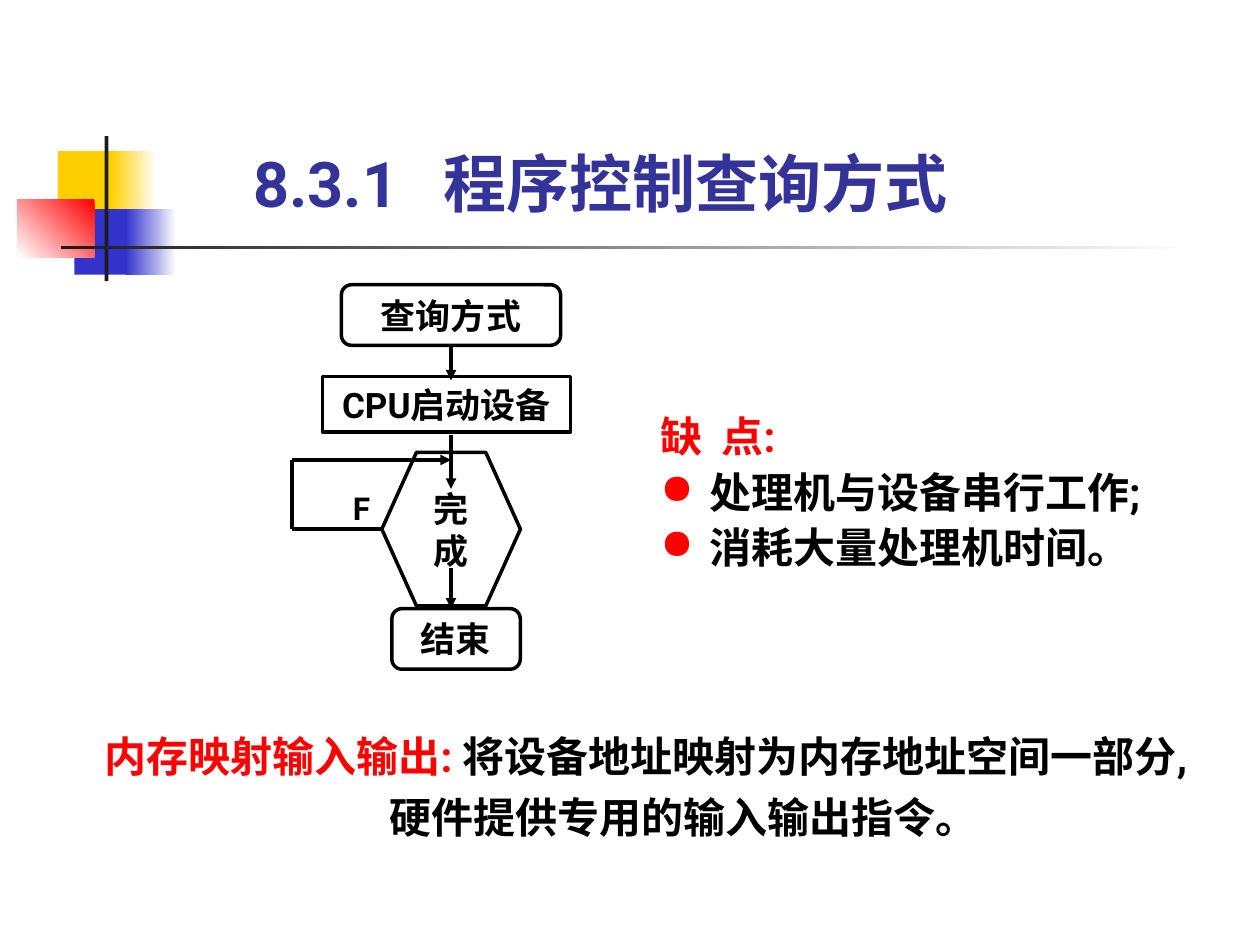
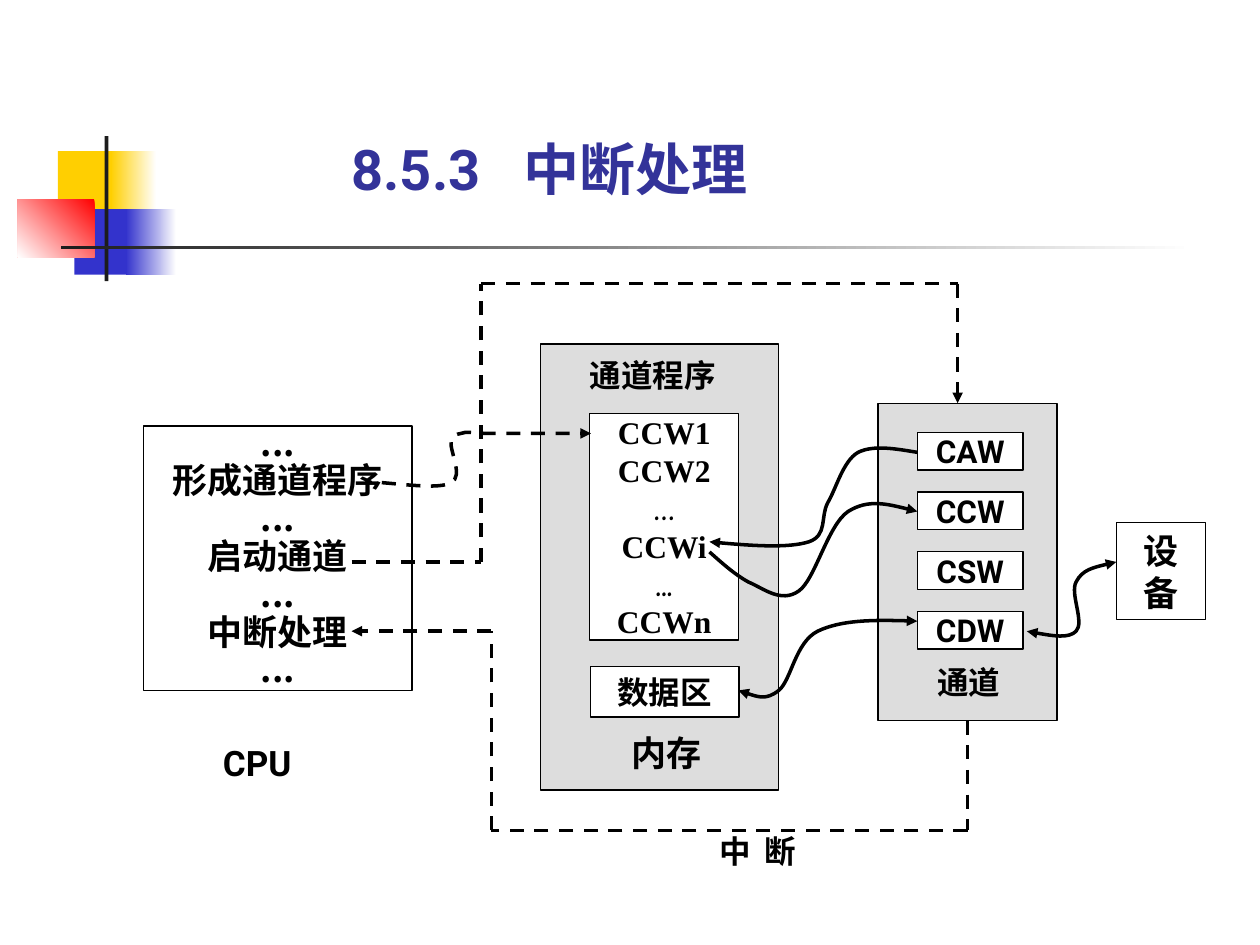
from dataclasses import dataclass, replace
from typing import Optional

import lxml.etree
import pptx
import pptx.dml.color
import pptx.enum.dml
import pptx.enum.shapes
import pptx.enum.text
import pptx.oxml.ns
import pptx.util

Pt = pptx.util.Pt
qn = pptx.oxml.ns.qn
SHAPES = pptx.enum.shapes.MSO_SHAPE
ALIGN = pptx.enum.text.PP_ALIGN
ANCHOR = pptx.enum.text.MSO_ANCHOR

COLORS = {
    "ink": "000000",
    "paper": "FFFFFF",
    "panel": "DDDDDD",
    "title": "333399",
    "red": "FF0000",
    "yellow": "FFCF01",
    "blue": "3333CC",
    "rule": "1C1C1C",
}

Point = tuple[float, float]
Area = tuple[float, float, float, float]  # left, top, width, height


@dataclass(frozen=True)
class Style:
    size: float
    font: str = "Roboto"
    color: str = "ink"
    spacing: Optional[float] = None
    centered: bool = False
    tab: float = 0
    indent: float = 0
    bullet: str = ""


@dataclass(frozen=True)
class Line:
    """One paragraph; lead is an opening span in red."""
    text: str
    style: Style
    lead: str = ""


@dataclass(frozen=True)
class Box:
    area: Area
    lines: tuple[Line, ...] = ()
    kind: int = SHAPES.RECTANGLE
    fill: str = "paper"
    weight: float = 0.75
    inset: bool = False
    anchor: int = ANCHOR.MIDDLE


@dataclass(frozen=True)
class Block:
    """A plain rectangle; a second colour makes it a gradient."""
    area: Area
    color: str
    fade_to: str = ""
    angle: float = 180


@dataclass(frozen=True)
class Curve:
    points: tuple[Point, ...]
    both_ends: bool = False
    dashed: bool = False


DECORATION = (
    Block((33.1, 86.4, 34.6, 37.4), "yellow"),
    Block((63.4, 86.4, 25.9, 37.4), "paper", "yellow"),
    Block((42.5, 119.5, 33.1, 37.4), "blue"),
    Block((72, 119.5, 28.8, 37.4), "paper", "blue"),
    Block((10.1, 113.8, 43.9, 33.1), "red", "paper", 225),
    Block((59.8, 77.8, 2.2, 82.8), "rule"),
    Block((34.6, 140.4, 648, 2.2), "paper", "rule"),
)


def rgb(name: str) -> pptx.dml.color.RGBColor:
    return pptx.dml.color.RGBColor.from_string(COLORS[name])


def lengths(values):
    return [Pt(value) for value in values]


def format_paragraph(para, style: Style) -> None:
    """Apply spacing, indents, bullet and tab stop, and then the font."""
    props = para._p.get_or_add_pPr()
    if style.indent:
        props.set("marL", str(Pt(style.indent)))
        props.set("indent", str(-Pt(style.indent) if style.bullet else 0))
    if style.bullet:
        color = lxml.etree.SubElement(props, qn("a:buClr"))
        lxml.etree.SubElement(color, qn("a:srgbClr"), val=COLORS["red"])
        lxml.etree.SubElement(props, qn("a:buChar"), char=style.bullet)
    if style.tab:
        stops = lxml.etree.SubElement(props, qn("a:tabLst"))
        lxml.etree.SubElement(stops, qn("a:tab"), pos=str(Pt(style.tab)), algn="l")
    para.alignment = ALIGN.CENTER if style.centered else ALIGN.LEFT
    if style.spacing:
        para.line_spacing = style.spacing
    para.font.size = Pt(style.size)
    para.font.name = style.font
    para.font.bold = True
    para.font.color.rgb = rgb(style.color)


def write_text(shape, lines, anchor=ANCHOR.TOP, inset: bool = False) -> None:
    frame = shape.text_frame
    frame.word_wrap = True
    frame.auto_size = pptx.enum.text.MSO_AUTO_SIZE.SHAPE_TO_FIT_TEXT
    frame.vertical_anchor = anchor
    frame.margin_left = frame.margin_right = Pt(7.2 if inset else 0)
    frame.margin_top = frame.margin_bottom = Pt(3.6 if inset else 0)
    for index, line in enumerate(lines):
        para = frame.add_paragraph() if index else frame.paragraphs[0]
        format_paragraph(para, line.style)
        if line.lead:
            span = para.add_run()
            span.text = line.lead
            span.font.color.rgb = rgb("red")
        para.add_run().text = line.text


def add_text(page, area: Area, *lines: Line, anchor=ANCHOR.TOP) -> None:
    write_text(page.shapes.add_textbox(*lengths(area)), lines, anchor)


def add_box(page, box: Box):
    shape = page.shapes.add_shape(box.kind, *lengths(box.area))
    shape.shadow.inherit = False
    if box.fill:
        shape.fill.solid()
        shape.fill.fore_color.rgb = rgb(box.fill)
    else:
        shape.fill.background()
    shape.line.color.rgb = rgb("ink")
    shape.line.width = Pt(box.weight)
    if box.lines:
        write_text(shape, box.lines, box.anchor, box.inset)
    return shape


def add_block(page, block: Block) -> None:
    shape = page.shapes.add_shape(SHAPES.RECTANGLE, *lengths(block.area))
    shape.shadow.inherit = False
    shape.line.fill.background()
    if not block.fade_to:
        shape.fill.solid()
        shape.fill.fore_color.rgb = rgb(block.color)
        return
    shape.fill.gradient()
    shape.fill.gradient_angle = block.angle
    for stop, position, color in zip(
        shape.fill.gradient_stops, (0, 1), (block.color, block.fade_to)
    ):
        stop.position = position
        stop.color.rgb = rgb(color)


def style_stroke(line, dashed: bool, head: bool = False, tail: bool = False) -> None:
    line.color.rgb = rgb("ink")
    line.width = Pt(2)
    if dashed:
        line.dash_style = pptx.enum.dml.MSO_LINE.DASH
    for wanted, tag in ((head, "a:headEnd"), (tail, "a:tailEnd")):
        if wanted:
            lxml.etree.SubElement(line._get_or_add_ln(), qn(tag), type="triangle")


def add_route(page, *points: Point, dashed: bool = False, source=None) -> None:
    """Join the points with straight lines, the last with an arrowhead.

    A source shape is joined at the middle of its bottom side.
    """
    last = len(points) - 2
    for index, (start, end) in enumerate(zip(points, points[1:])):
        connector = page.shapes.add_connector(
            pptx.enum.shapes.MSO_CONNECTOR.STRAIGHT, *lengths(start + end)
        )
        if source is not None and index == 0:
            connector.begin_connect(source, 2)
        style_stroke(connector.line, dashed, tail=index == last)
        lxml.etree.SubElement(connector.element.spPr, qn("a:effectLst"))


def add_curve(page, curve: Curve) -> None:
    """Draw cubic curves: a start, then two controls and an end for each."""
    start, *rest = [tuple(lengths(point)) for point in curve.points]
    builder = page.shapes.build_freeform(*start)
    builder.add_line_segments(rest, close=False)
    shape = builder.convert_to_shape()
    outline = shape.element.xpath(".//a:path")[0]
    segments = outline.findall(qn("a:lnTo"))
    for first in range(0, len(segments), 3):
        cubic = lxml.etree.SubElement(outline, qn("a:cubicBezTo"))
        for segment in segments[first:first + 3]:
            cubic.append(segment[0])
            outline.remove(segment)
    shape.shadow.inherit = False
    shape.fill.background()
    style_stroke(shape.line, curve.dashed, head=curve.both_ends, tail=True)


def add_page(deck, title: str, area: Area, size: float, tab: float):
    page = deck.slides.add_slide(deck.slide_layouts[6])
    for block in DECORATION:
        add_block(page, block)
    style = Style(size, color="title", tab=tab)
    add_text(page, area, Line(title, style), anchor=ANCHOR.BOTTOM)
    return page


def build_polling_page(deck) -> None:
    page = add_page(deck, "8.3.1\t程序控制查询方式", (144.7, 82.8, 408.2, 43.2), 36, 109)
    heading = Style(24, color="red", spacing=1.1, tab=35)
    item = Style(24, spacing=1.1, indent=28, bullet="●")
    add_text(
        page, (377.3, 231.8, 301, 95),
        Line("缺\t点:", heading),
        Line("处理机与设备串行工作;", item),
        Line("消耗大量处理机时间。", item),
    )
    body = Style(24, spacing=1.2)
    add_text(
        page, (59.8, 411.8, 629.3, 103.7),
        Line("将设备地址映射为内存地址空间一部分,", body, lead="内存映射输入输出: "),
        Line("硬件提供专用的输入输出指令。", replace(body, indent=163)),
    )
    add_text(page, (201.6, 279.4, 11.5, 21.6), Line("F", Style(18)))

    step = Style(20, centered=True)
    start, *_ = [
        add_box(page, Box(area, (Line(text, step),), kind, "", 2, True))
        for text, kind, area in (
            ("查询方式", SHAPES.ROUNDED_RECTANGLE, (195.1, 162.7, 125.3, 34.6)),
            ("CPU启动设备", SHAPES.RECTANGLE, (184.3, 215.3, 141.8, 31.7)),
            ("完成", SHAPES.HEXAGON, (218.2, 258.5, 79.2, 87.8)),
            ("结束", SHAPES.ROUNDED_RECTANGLE, (223.9, 347.8, 73.4, 34.6)),
        )
    ]
    axis = 257.75
    add_route(page, (axis, 197.3), (axis, 217.4), source=start)
    add_route(page, (axis, 248.4), (axis, 279.4))
    add_route(page, (axis, 324.7), (axis, 347.8))
    add_route(page, (218.2, 302.4), (167, 302.4), (167, 262.8), (axis, 262.8))


CURVES = (
    Curve(((524.2, 258.5), (511.2, 256.3), (499, 254.2), (490.3, 258.5),
           (481.7, 263.5), (478.1, 278.6), (473, 287.3),
           (468.7, 295.2), (473, 306), (462.2, 309.6),
           (450.7, 313.2), (427.7, 311.8), (405.4, 309.6))),
    Curve(((405.4, 315.4), (412.6, 321.8), (419.8, 328.3), (427.7, 332.6),
           (436.3, 336.2), (446.4, 344.9), (456.5, 337.7),
           (465.8, 331.2), (473, 300.2), (484.6, 292.3),
           (496.1, 285.1), (510.5, 288.7), (524.2, 292.3))),
    Curve(((421.9, 394.6), (429.8, 397.4), (437.8, 400.3), (445, 394.6),
           (452.2, 388.8), (454.3, 367.2), (467.3, 360.7),
           (481, 354.2), (502.6, 354.2), (524.2, 355)), both_ends=True),
    Curve(((586.8, 360.7), (598.3, 362.9), (610.6, 365), (614.9, 360.7),
           (619.9, 355.7), (611.3, 339.1), (614.9, 332.6),
           (618.5, 325.4), (628.6, 323.3), (637.9, 321.1)), both_ends=True),
    Curve(((218.2, 275.8), (234.7, 277.2), (251.3, 279.4), (257.8, 275.8),
           (265, 272.2), (257, 257.8), (257.8, 252.7),
           (259.2, 248.4), (259.9, 248.4), (263.5, 247.7),
           (267.1, 246.2), (268.6, 247.7), (280.8, 247.7),
           (293, 247.7), (315.4, 247.7), (337.7, 247.7)), dashed=True),
)


def build_interrupt_page(deck) -> None:
    page = add_page(deck, "8.5.3\t中断处理", (200.9, 77, 306, 38.2), 32, 98)
    channel = add_box(page, Box((501.8, 230.4, 102.2, 181.4), fill="panel"))
    add_box(page, Box((308.9, 196.6, 136.1, 254.9), fill="panel"))

    cpu = Style(20, "Noto Sans CJK SC", spacing=0.9, centered=True)
    cpu_texts = ("...", "形成通道程序", "...", "启动通道", "...", "中断处理", "...")
    add_box(page, Box((82.1, 243.4, 153.4, 151.2), tuple(Line(text, cpu) for text in cpu_texts)))

    command = Style(18, "Times New Roman", centered=True)
    dots = replace(command, font="Comic Neue")
    commands = tuple(
        Line(text, command if text.startswith("CCW") else dots)
        for text in ("CCW1", "CCW2", "…", "CCWi", "...", "CCWn")
    )
    add_box(page, Box((337, 236.2, 85, 129.6), commands))
    add_box(page, Box((337.3, 380.9, 85, 28.8), (Line("数据区", command),), inset=True))
    device = Line("设备", replace(command, size=20))
    add_box(page, Box((637.9, 298.8, 51.1, 55.4), (device,), inset=True))

    register = Style(18, centered=True)
    for row, name in enumerate(("CAW", "CCW", "CSW", "CDW")):
        area = (524.2, 247 + 34.1 * row, 60.5, 21.6)
        add_box(page, Box(area, (Line(name, register),), anchor=ANCHOR.TOP))

    for text, size, area in (
        ("CPU", 20, (127.4, 428.4, 55.4, 19.4)),
        ("内存", 20, (360.7, 422.6, 55.4, 19.4)),
        ("通道程序", 18, (337, 207.4, 79.2, 17.3)),
        ("通道", 18, (535.7, 383, 39.6, 17.3)),
        ("中\t断", 18, (411.1, 479.5, 67.7, 17.3)),
    ):
        add_text(page, area, Line(text, Style(size, spacing=0.8, tab=26)))

    add_route(page, (200.9, 321.1), (275, 321.1), (275, 162), (547.2, 162),
              (547.2, 230.4), dashed=True)
    add_route(page, (552.9, 411.8), (552.9, 474.5), (280.8, 474.5), (280.8, 360.7),
              (200.9, 360.7), dashed=True, source=channel)
    for curve in CURVES:
        add_curve(page, curve)


def main() -> None:
    deck = pptx.Presentation()
    deck.slide_width, deck.slide_height = Pt(720), Pt(540)
    build_polling_page(deck)
    build_interrupt_page(deck)
    deck.save("out.pptx")


if __name__ == "__main__":
    main()
